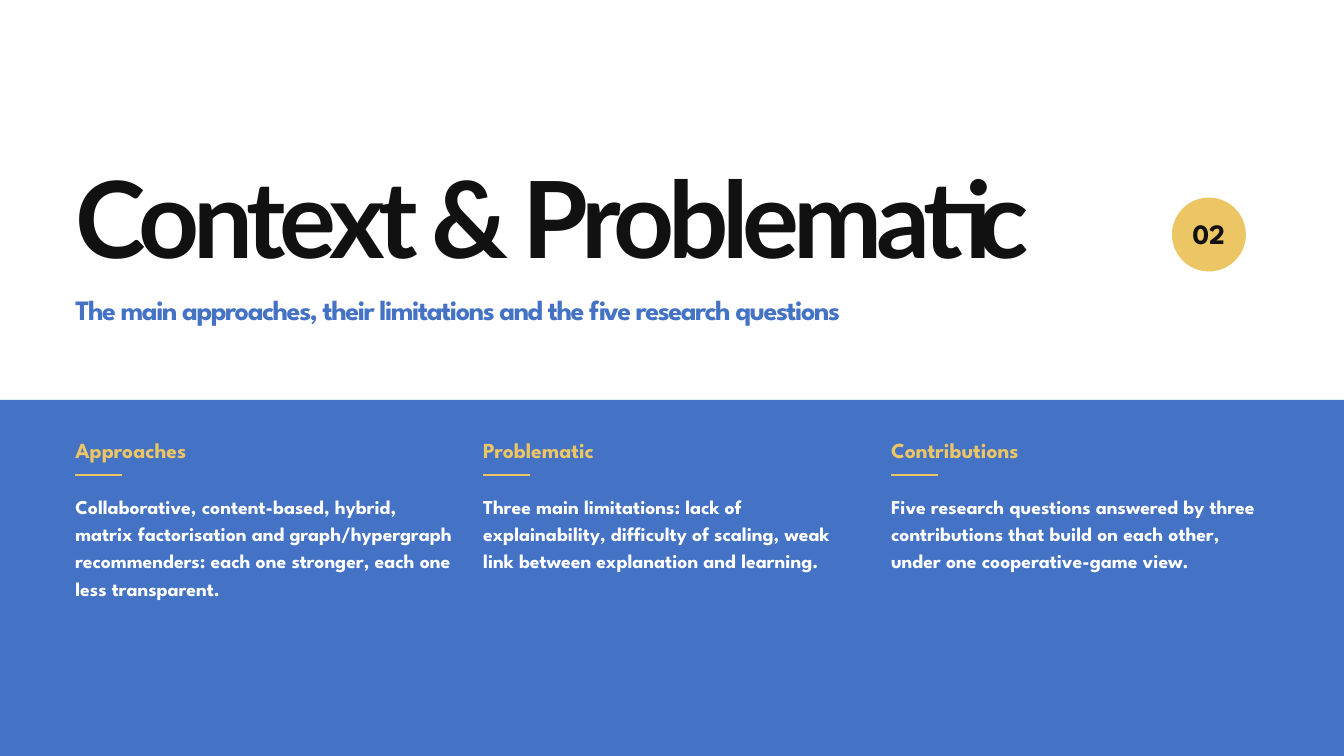
from lxml import etree
from pptx import Presentation
from pptx import util as u
from pptx.dml.color import RGBColor
from pptx.enum import shapes, text
from pptx.oxml.ns import qn

INK, BLUE, GOLD, WHITE = "111111", "4472C4", "ECC665", "FFFFFF"
LEFT = 1.12
COLUMN_WIDTH, COLUMN_STEP = 5.62, 6.07
COLUMNS = [
    ("Approaches",
     "Collaborative, content-based, hybrid, matrix factorisation and "
     "graph/hypergraph recommenders: each one stronger, each one less transparent."),
    ("Problematic",
     "Three main limitations: lack of explainability, difficulty of scaling, "
     "weak link between explanation and learning."),
    ("Contributions",
     "Five research questions answered by three contributions that build on "
     "each other, under one cooperative-game view."),
]


def rgb(value):
    return RGBColor.from_string(value)


def inches(*values):
    return [u.Inches(value) for value in values]


class SlideBuilder:
    """Holds the text style and the slide being filled."""

    font = "League Spartan"

    def __init__(self, slide):
        self.slide = slide
        background = slide.background.fill
        background.solid()
        background.fore_color.rgb = rgb(WHITE)

    def set_text(self, frame, words, size, leading, color, font=None, spacing=0,
                 align=text.PP_ALIGN.LEFT, anchor=text.MSO_ANCHOR.TOP):
        """Fill a text frame with one styled paragraph; spacing is in points."""
        frame.word_wrap = True
        frame.auto_size = text.MSO_AUTO_SIZE.NONE
        frame.vertical_anchor = anchor
        frame.margin_left = frame.margin_right = 0
        frame.margin_top = frame.margin_bottom = 0
        paragraph = frame.paragraphs[0]
        paragraph.alignment = align
        paragraph.line_spacing = u.Pt(leading)
        paragraph.space_before = u.Pt(0)
        run = paragraph.add_run()
        run.text = words
        run.font.name = font or self.font
        run.font.size = u.Pt(size)
        run.font.bold = True
        run.font.color.rgb = rgb(color)
        if spacing:
            run._r.get_or_add_rPr().set("spc", str(round(spacing * 100)))

    def title(self, words, box, **style):
        title = self.slide.shapes.title
        title.left, title.top, title.width, title.height = inches(*box)
        self.set_text(title.text_frame, words, **style)

    def text_box(self, words, box, **style):
        frame = self.slide.shapes.add_textbox(*inches(*box)).text_frame
        self.set_text(frame, words, **style)

    def filled(self, kind, box, color):
        shape = self.slide.shapes.add_shape(kind, *inches(*box))
        shape.shadow.inherit = False
        shape.fill.solid()
        shape.fill.fore_color.rgb = rgb(color)
        shape.line.fill.background()
        return shape

    def badge(self, words, box, fill, **style):
        circle = self.filled(shapes.MSO_SHAPE.OVAL, box, fill)
        self.set_text(circle.text_frame, words, align=text.PP_ALIGN.CENTER,
                      anchor=text.MSO_ANCHOR.MIDDLE, **style)

    def rule(self, left, top, length, color, weight):
        line = self.slide.shapes.add_connector(
            shapes.MSO_CONNECTOR.STRAIGHT, *inches(left, top, left + length, top))
        line.line.color.rgb = rgb(color)
        line.line.width = u.Pt(weight)
        etree.SubElement(line._element.spPr, qn("a:effectLst"))

    def column(self, left, heading, body):
        self.text_box(heading, (left, 6.5, COLUMN_WIDTH, 0.5),
                      size=23, leading=28, color=GOLD)
        self.rule(left, 7.07, 0.7, GOLD, 2.5)
        self.text_box(body, (left, 7.3, COLUMN_WIDTH, 3.4),
                      size=21, leading=29.4, color=WHITE)


def main():
    deck = Presentation()
    deck.slide_width, deck.slide_height = inches(20, 11.25)
    builder = SlideBuilder(deck.slides.add_slide(deck.slide_layouts[5]))

    builder.title("Context & Problematic", (LEFT, 2.55, 16.25, 1.9), size=114,
                  leading=116.3, color=INK, font="Lato", spacing=-6.6)
    builder.badge("02", (17.44, 2.94, 1.1, 1.1), GOLD,
                  size=30, leading=34, color=INK)
    builder.text_box(
        "The main approaches, their limitations and the five research questions",
        (LEFT, 4.32, 17.75, 0.7), size=30, leading=38, color=BLUE, spacing=-1.5)

    builder.filled(shapes.MSO_SHAPE.RECTANGLE, (0, 5.95, 20, 5.3), BLUE)
    for index, (heading, body) in enumerate(COLUMNS):
        builder.column(LEFT + index * COLUMN_STEP, heading, body)

    deck.save("out.pptx")


if __name__ == "__main__":
    main()
